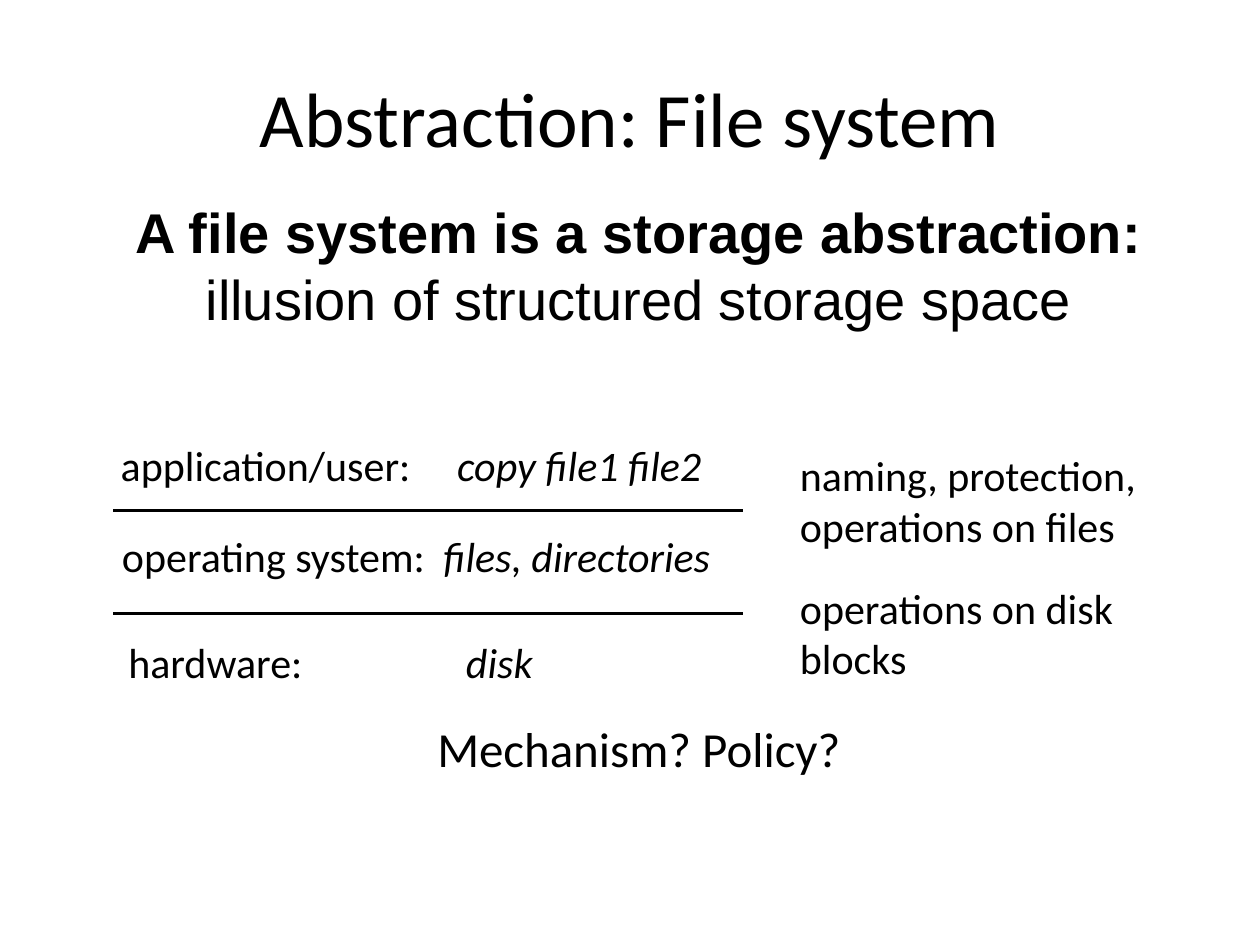
from pptx import Presentation
from pptx.dml.color import RGBColor
from pptx.enum.shapes import MSO_CONNECTOR
from pptx.enum.text import MSO_ANCHOR, PP_ALIGN
from pptx.oxml.ns import qn
from pptx.util import Inches, Pt
from lxml import etree

STRAIGHT = MSO_CONNECTOR.STRAIGHT
LEFT, CENTER = PP_ALIGN.LEFT, PP_ALIGN.CENTER
TOP, MIDDLE = MSO_ANCHOR.TOP, MSO_ANCHOR.MIDDLE
BLACK = "000000"


def color(value):
    return RGBColor.from_string(value)


def format_run(run, size, font="Calibri", bold=False, italic=False):
    run.font.size = Pt(size)
    run.font.name = font
    run.font.bold = bold
    run.font.italic = italic
    run.font.color.rgb = color(BLACK)


def add_text(slide, left, top, width, height, lines, size=24,
             font="Calibri", align=LEFT, anchor=TOP):
    shape = slide.shapes.add_textbox(
        Inches(left), Inches(top), Inches(width), Inches(height))
    text_frame = shape.text_frame
    text_frame.word_wrap = True
    text_frame.vertical_anchor = anchor
    text_frame.text = "\n".join(lines)
    for paragraph in text_frame.paragraphs:
        paragraph.alignment = align
        for run in paragraph.runs:
            format_run(run, size, font)
    return text_frame


def add_layer(slide, left, top, label, example, example_offset):
    text_frame = add_text(slide, left, top, 5.1, 0.5, [label])
    paragraph = text_frame.paragraphs[0]
    properties = paragraph._p.get_or_add_pPr()
    tabs = etree.SubElement(properties, qn("a:tabLst"))
    etree.SubElement(tabs, qn("a:tab"),
                     pos=str(Inches(example_offset)), algn="l")
    run = paragraph.add_run()
    run.text = "\t" + example
    format_run(run, 24, italic=True)


def add_divider(slide, top):
    line = slide.shapes.add_connector(
        STRAIGHT, Inches(0.9), Inches(top), Inches(5.9), Inches(top))
    line.line.color.rgb = color(BLACK)
    line.line.width = Pt(2)
    etree.SubElement(line._element.spPr, qn("a:effectLst"))


def add_summary(slide):
    text_frame = add_text(
        slide, 0.5, 1.52, 9.14, 4.88,
        ["A file system is a storage abstraction:",
         "illusion of structured storage space",
         "Mechanism? Policy?"],
        size=32, font="Arial", align=CENTER)
    heading, _, question = text_frame.paragraphs
    heading.runs[0].font.bold = True
    question.space_before = Pt(221)
    format_run(question.runs[0], 28)


def main():
    presentation = Presentation()
    presentation.slide_width = Inches(10)
    presentation.slide_height = Inches(7.5)
    slide = presentation.slides.add_slide(presentation.slide_layouts[6])

    add_text(slide, 0.5, 0.3, 9, 1.25, ["Abstraction: File system"],
             size=44, align=CENTER, anchor=MIDDLE)
    add_summary(slide)
    for top in (4.05, 4.87):
        add_divider(slide, top)

    layers = [
        (0.86, 3.44, "application/user:", "copy file1 file2", 2.67),
        (0.87, 4.16, "operating system:", "files, directories", 2.55),
        (0.92, 5, "hardware:", "disk", 2.68),
    ]
    for layer in layers:
        add_layer(slide, *layer)

    add_text(slide, 6.25, 3.52, 3.33, 0.91,
             ["naming, protection,", "operations on files"])
    add_text(slide, 6.25, 4.57, 2.79, 0.91,
             ["operations on disk", "blocks"])
    presentation.save("out.pptx")


main()
